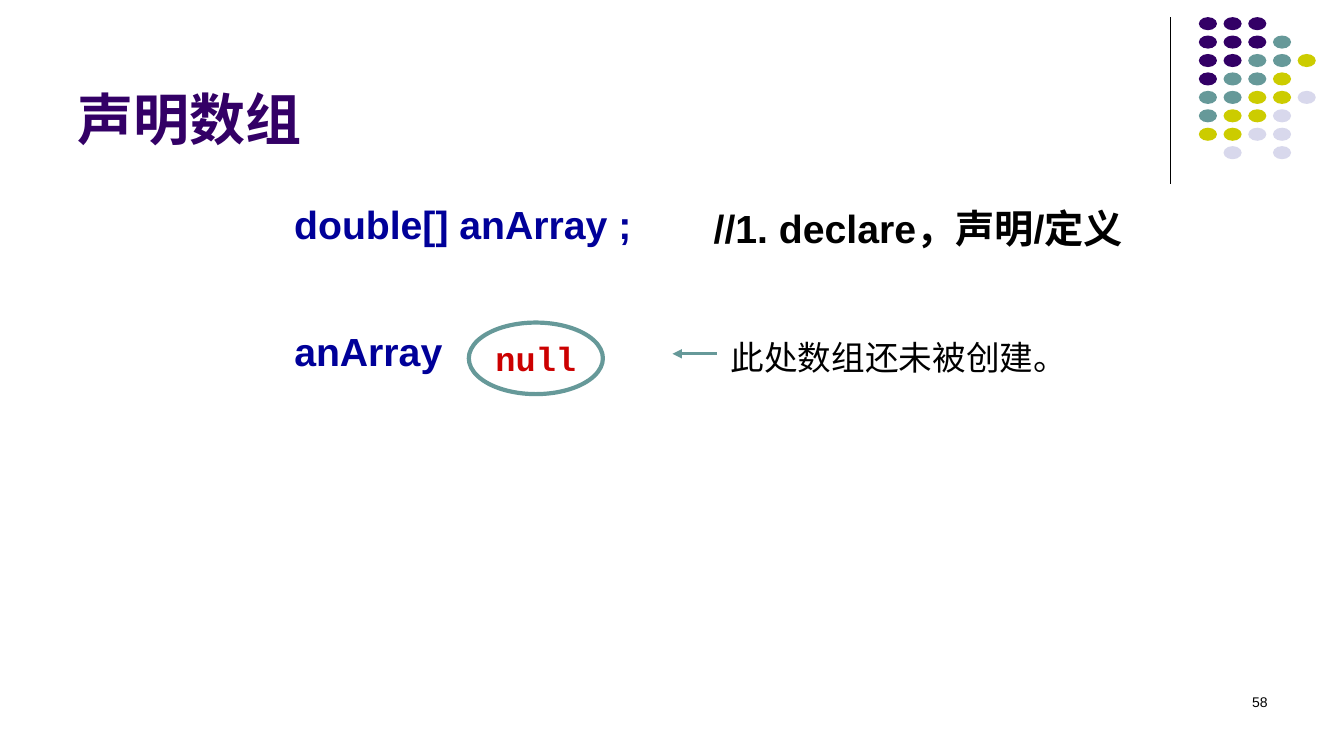
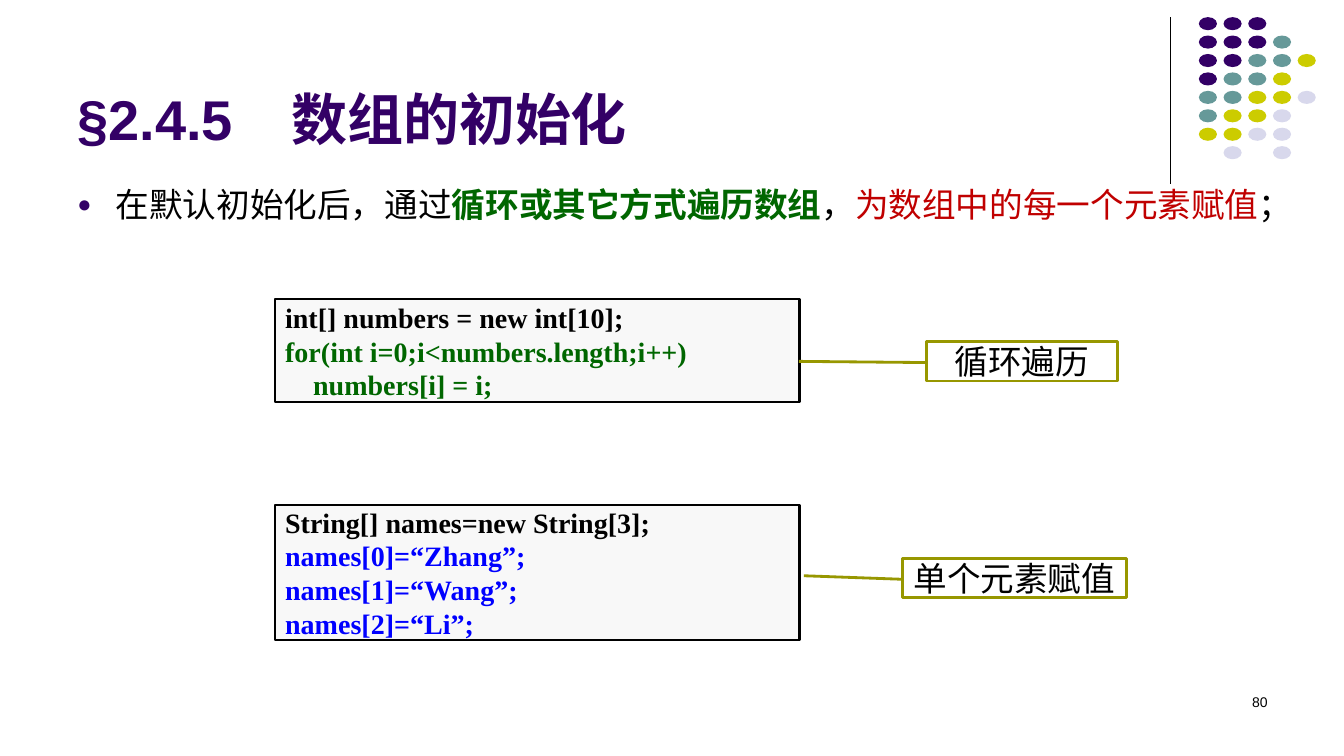
from dataclasses import dataclass

from lxml.etree import SubElement
from pptx import Presentation
from pptx.dml.color import RGBColor
from pptx.enum.shapes import MSO_CONNECTOR, MSO_SHAPE
from pptx.enum.text import MSO_ANCHOR, PP_ALIGN
from pptx.oxml.ns import qn
from pptx.util import Inches, Pt


@dataclass(frozen=True)
class Theme:
    purple: str = "330066"
    teal: str = "669999"
    yellow: str = "CCCC00"
    lilac: str = "D8D8EC"
    black: str = "000000"
    white: str = "FFFFFF"
    navy: str = "000099"
    blue: str = "0000FF"
    green: str = "006600"
    red: str = "CC0000"
    crimson: str = "C00000"
    olive: str = "979700"
    panel: str = "F8F8F8"
    sans: str = "Arial"
    cjk: str = "Noto Sans CJK SC"
    comic: str = "Comic Neue"
    mono: str = "Courier New"
    serif: str = "Times New Roman"
    title: int = 40
    code: int = 28
    body: int = 24
    listing: int = 20
    number: int = 10


T = Theme()

DOT_ROWS = ["PPP", "PPPT", "PPTTY", "PTTY", "TTYYL", "TYYL", "YYLL", " L L"]
DOT_COLORS = {"P": T.purple, "T": T.teal, "Y": T.yellow, "L": T.lilac}
DOT_LEFT, DOT_TOP = 11.89, 0.17
DOT_STEP_X, DOT_STEP_Y = 0.98 / 4, 1.28 / 7

DECLARE_TITLE = "声明数组"
DECLARE_LABELS = [
    ("double[] anArray ;", (2.82, 1.94, 4.1, 0.57), dict(size=T.code, color=T.navy, bold=True)),
    ("anArray", (2.82, 3.2, 1.78, 0.57), dict(size=T.code, color=T.navy, bold=True)),
    ("//1. declare，声明/定义", (6.98, 1.98, 4.31, 0.57), dict(size=T.code, bold=True)),
    ("此处数组还未被创建。", (7.15, 3.29, 3.67, 0.51), dict(font=T.comic)),
]

INIT_TITLE = "§2.4.5\t数组的初始化"
INIT_BULLET = [
    ("在默认初始化后，通过", {}),
    ("循环或其它方式遍历数组", dict(color=T.green, bold=True)),
    ("，", {}),
    ("为数组中的每一个元素赋值", dict(color=T.crimson)),
    ("；", {}),
]
LISTINGS = [
    dict(
        top=2.97, height=1.02, accent=T.green,
        lines=["int[] numbers = new int[10];",
               "for(int i=0;i<numbers.length;i++)",
               "    numbers[i] = i;"],
        note="循环遍历", note_box=(9.19, 3.39, 1.89, 0.39),
        leader=(0.53, 0, 0.5, -0.67),
    ),
    dict(
        top=5.01, height=1.34, accent=T.blue,
        lines=["String[] names=new String[3];",
               "names[0]=“Zhang”;",
               "names[1]=“Wang”;",
               "names[2]=“Li”;"],
        note="单个元素赋值", note_box=(8.95, 5.54, 2.22, 0.39),
        leader=(0.53, 0, 0.44, -0.44),
    ),
]


def rgb(value):
    return RGBColor.from_string(value)


def box(values):
    return [Inches(v) for v in values]


def write(tf, paragraphs, size=T.body, font=T.sans, color=T.black, bold=False,
          align=PP_ALIGN.LEFT, anchor=MSO_ANCHOR.TOP, wrap=True, bullet=False, tab=None):
    tf.word_wrap = wrap
    tf.vertical_anchor = anchor
    if isinstance(paragraphs, str):
        paragraphs = [[(paragraphs, {})]]
    for i, runs in enumerate(paragraphs):
        p = tf.paragraphs[0] if i == 0 else tf.add_paragraph()
        p.alignment = align
        pPr = p._p.get_or_add_pPr()
        if bullet:
            pPr.set("marL", str(Inches(0.38)))
            pPr.set("indent", str(-Inches(0.38)))
            SubElement(SubElement(pPr, qn("a:buClr")), qn("a:srgbClr"), val=T.purple)
            SubElement(pPr, qn("a:buSzPct"), val="70000")
            SubElement(pPr, qn("a:buFont"), typeface=T.sans)
            SubElement(pPr, qn("a:buChar"), char="●")
        if tab:
            tabs = SubElement(pPr, qn("a:tabLst"))
            SubElement(tabs, qn("a:tab"), pos=str(Inches(tab)), algn="l")
        for text, own in runs:
            r = p.add_run()
            r.text = text
            r.font.size = Pt(size)
            r.font.name = font
            r.font.bold = own.get("bold", bold)
            r.font.color.rgb = rgb(own.get("color", color))
            ea = SubElement(r._r.get_or_add_rPr(), qn("a:ea"))
            ea.set("typeface", T.cjk)


def label(s, text, at, **fmt):
    sp = s.shapes.add_textbox(*box(at))
    write(sp.text_frame, text, **fmt)


def shape(shapes, kind, at, fill=None, line=None, width=1):
    sp = shapes.add_shape(kind, *box(at))
    sp.shadow.inherit = False
    if fill:
        sp.fill.solid()
        sp.fill.fore_color.rgb = rgb(fill)
    else:
        sp.fill.background()
    if line:
        sp.line.color.rgb = rgb(line)
        sp.line.width = Pt(width)
    else:
        sp.line.fill.background()
    return sp


def connect(s, start, end, color, width, arrow=False):
    c = s.shapes.add_connector(MSO_CONNECTOR.STRAIGHT, *box(start + end))
    c.line.color.rgb = rgb(color)
    c.line.width = Pt(width)
    if arrow:
        SubElement(c.line._get_or_add_ln(), qn("a:tailEnd"), type="triangle")
    SubElement(c._element.spPr, qn("a:effectLst"))


def base_slide(prs, title, number):
    s = prs.slides.add_slide(prs.slide_layouts[6])
    connect(s, (11.61, 0.17), (11.61, 1.83), T.black, 0.75)
    dots = s.shapes.add_group_shape()
    for row, marks in enumerate(DOT_ROWS):
        for col, mark in enumerate(marks):
            if mark in DOT_COLORS:
                at = (DOT_LEFT + col * DOT_STEP_X, DOT_TOP + row * DOT_STEP_Y, 0.18, 0.13)
                shape(dots.shapes, MSO_SHAPE.OVAL, at, DOT_COLORS[mark])
    label(s, title, (0.67, 0.13, 11, 1.42), size=T.title, color=T.purple, bold=True,
          anchor=MSO_ANCHOR.BOTTOM, tab=2.12)
    label(s, number, (9.56, 6.83, 3.11, 0.5), size=T.number, align=PP_ALIGN.RIGHT)
    return s


def declare_slide(prs):
    s = base_slide(prs, DECLARE_TITLE, "58")
    for text, at, fmt in DECLARE_LABELS:
        label(s, text, at, **fmt)
    sp = shape(s.shapes, MSO_SHAPE.OVAL, (4.65, 3.2, 1.33, 0.71), line=T.teal, width=3)
    write(sp.text_frame, "null", font=T.mono, color=T.red, bold=True,
          align=PP_ALIGN.CENTER, anchor=MSO_ANCHOR.MIDDLE, wrap=False)
    connect(s, (7.11, 3.51), (6.67, 3.51), T.teal, 2.25, arrow=True)


def init_slide(prs):
    s = base_slide(prs, INIT_TITLE, "80")
    label(s, [INIT_BULLET], (0.67, 1.78, 12, 0.6), bullet=True)
    for item in LISTINGS:
        sp = shape(s.shapes, MSO_SHAPE.RECTANGLE, (2.73, item["top"], 5.2, item["height"]),
                   T.panel, T.black, 1.5)
        first, *rest = item["lines"]
        lines = [[(first, {})]] + [[(line, dict(color=item["accent"]))] for line in rest]
        write(sp.text_frame, lines, size=T.listing, font=T.serif, bold=True,
              anchor=MSO_ANCHOR.MIDDLE)
        note = shape(s.shapes, MSO_SHAPE.LINE_CALLOUT_1, item["note_box"], T.white, T.olive, 2)
        for i, value in enumerate(item["leader"]):
            note.adjustments[i] = value
        write(note.text_frame, item["note"], align=PP_ALIGN.CENTER, anchor=MSO_ANCHOR.MIDDLE)


def main():
    prs = Presentation()
    prs.slide_width, prs.slide_height = Inches(13.33), Inches(7.5)
    declare_slide(prs)
    init_slide(prs)
    prs.save("out.pptx")


if __name__ == "__main__":
    main()
